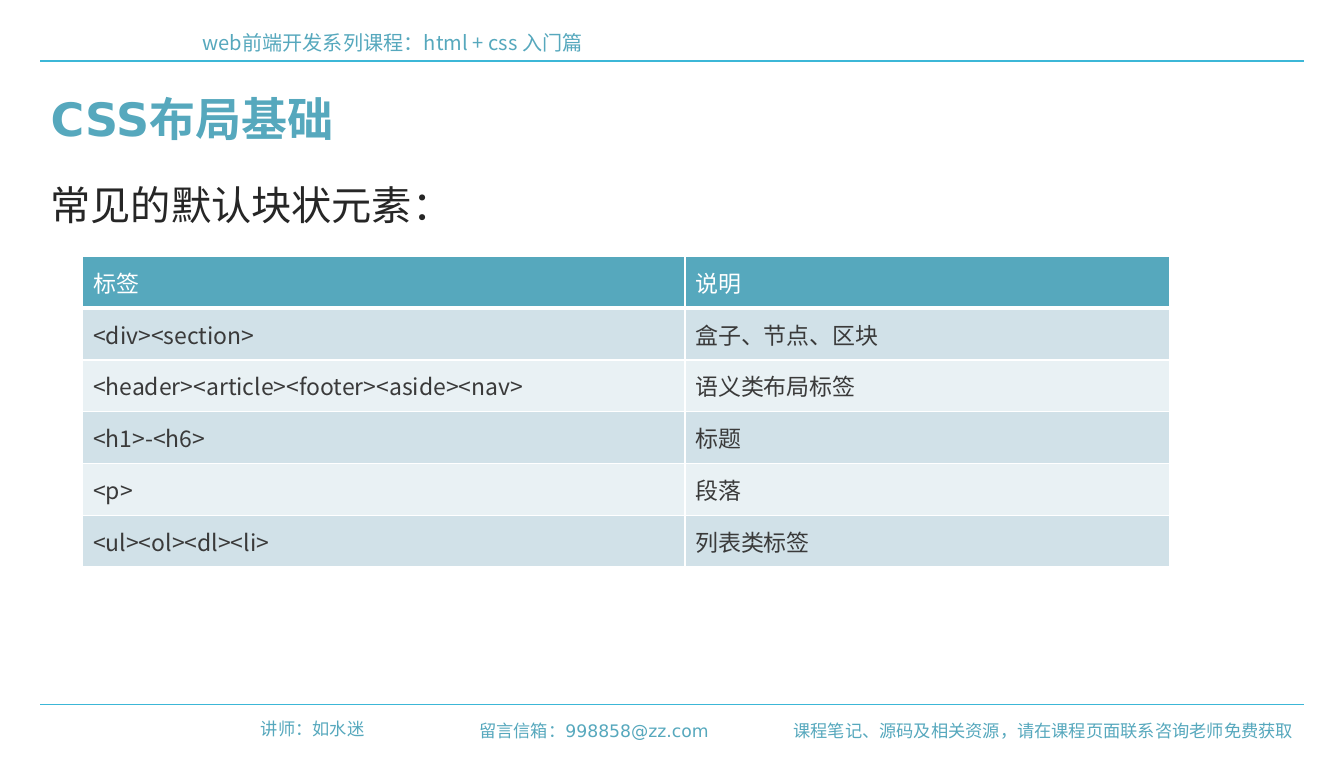
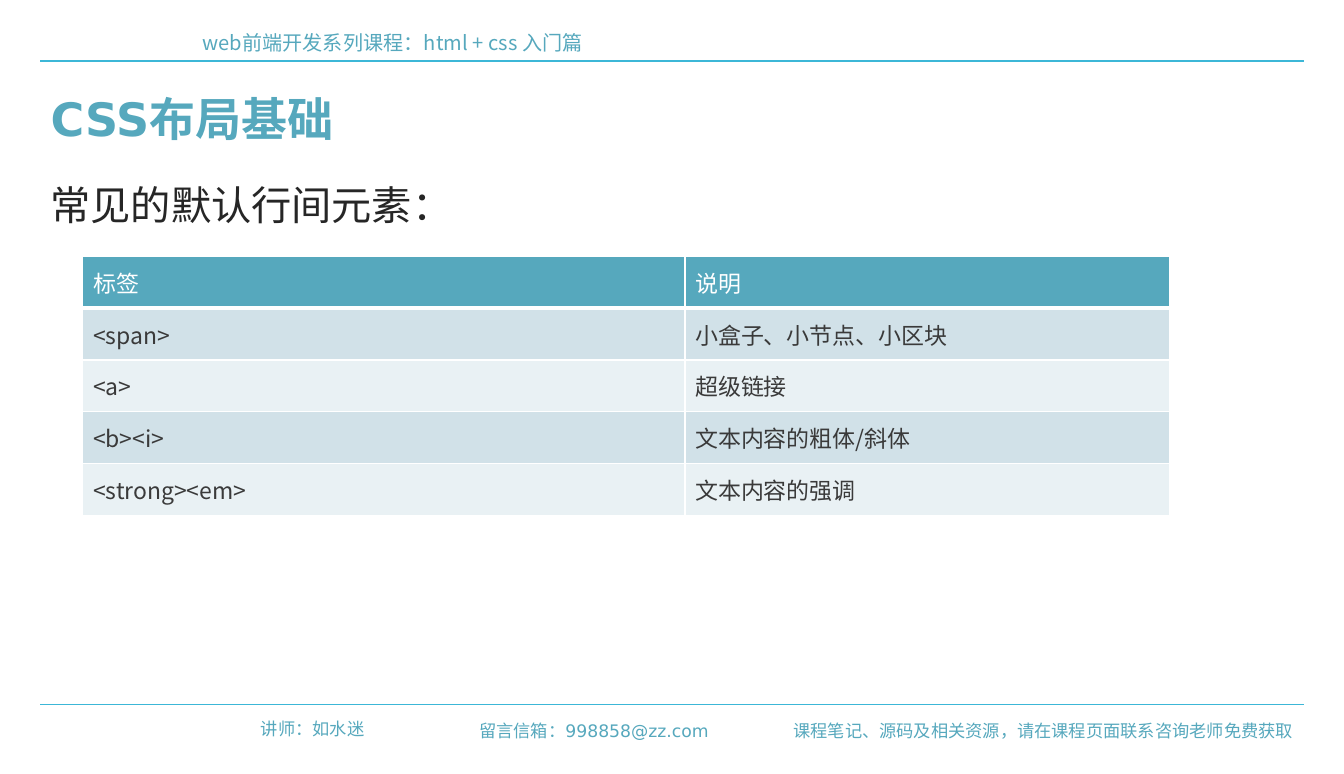
import pptx
import pptx.dml.color
import pptx.enum.shapes
import pptx.enum.text
import pptx.oxml
import pptx.oxml.ns
import pptx.util
import lxml.etree

Inches = pptx.util.Inches
Pt = pptx.util.Pt
Align = pptx.enum.text.PP_ALIGN

TEAL, RULE, INK, CELL_INK, WHITE = "56A8BD", "3CB7D7", "262626", "3A3A3A", "FFFFFF"
BANDS = ("D1E1E8", "E9F1F4")
CJK, LATIN = "Noto Sans CJK SC", "DejaVu Sans"
LEFT, RIGHT = 0.39, 12.6
COLUMN_WIDTHS = (5.82, 4.69)
ROW_HEIGHT = 0.5

FOOTERS = (
    ("讲师：如水迷", 2.24, 6.89, 1.38),
    ("课程笔记、源码及相关资源，请在课程页面联系咨询老师免费获取", 7.52, 6.91, 5.08),
    ("留言信箱：998858@zz.com", 4.29, 6.91, 2.66),
)

LESSONS = (
    ("常见的默认块状元素：", (
        ("标签", "说明"),
        ("<div><section>", "盒子、节点、区块"),
        ("<header><article><footer><aside><nav>", "语义类布局标签"),
        ("<h1>-<h6>", "标题"),
        ("<p>", "段落"),
        ("<ul><ol><dl><li>", "列表类标签"),
    )),
    ("常见的默认行间元素：", (
        ("标签", "说明"),
        ("<span>", "小盒子、小节点、小区块"),
        ("<a>", "超级链接"),
        ("<b><i>", "文本内容的粗体/斜体"),
        ("<strong><em>", "文本内容的强调"),
    )),
)


def rgb(value):
    return pptx.dml.color.RGBColor.from_string(value)


class CourseDeck:
    """Hold the course style and draw elements on the current slide."""

    def __init__(self):
        self.presentation = pptx.Presentation()
        self.presentation.slide_width = Inches(12.99)
        self.presentation.slide_height = Inches(7.48)
        self.slide = None

    def add_slide(self):
        self.slide = self.presentation.slides.add_slide(self.presentation.slide_layouts[6])
        for top in (0.59, 6.81):
            self.rule(top)
        self.text("web前端开发系列课程：html + css 入门篇", 1.86, 0.24, 10.51, 0.34, 14, CJK)
        for words, left, top, width in FOOTERS:
            self.text(words, left, top, width, 0.3, 12, LATIN, align=Align.RIGHT)

    def rule(self, top):
        line = self.slide.shapes.add_connector(
            pptx.enum.shapes.MSO_CONNECTOR.STRAIGHT,
            Inches(LEFT), Inches(top), Inches(RIGHT), Inches(top))
        line.line.color.rgb = rgb(RULE)
        line.line.width = Pt(0.75)
        properties = line._element.spPr
        lxml.etree.SubElement(properties, pptx.oxml.ns.qn("a:effectLst"))

    def run(self, paragraph, words, size, font, color, bold=False):
        run = paragraph.add_run()
        run.text = words
        run.font.size = Pt(size)
        run.font.bold = bold
        run.font.color.rgb = rgb(color)
        run.font.name = font
        east_asian = lxml.etree.SubElement(run.font._element, pptx.oxml.ns.qn("a:ea"))
        east_asian.set("typeface", CJK)

    def text(self, words, left, top, width, height, size, font,
             color=TEAL, bold=False, align=Align.LEFT):
        box = self.slide.shapes.add_textbox(
            Inches(left), Inches(top), Inches(width), Inches(height))
        frame = box.text_frame
        frame.word_wrap = True
        frame.auto_size = pptx.enum.text.MSO_AUTO_SIZE.SHAPE_TO_FIT_TEXT
        paragraph = frame.paragraphs[0]
        paragraph.alignment = align
        self.run(paragraph, words, size, font, color, bold)

    def title(self, words):
        self.text(words, LEFT, 0.83, 12.2, 0.64, 32, LATIN, bold=True)

    def subtitle(self, words):
        self.text(words, LEFT, 1.69, 6.65, 0.57, 28, CJK, INK)

    def borders(self, cell, widths):
        properties = cell._tc.get_or_add_tcPr()
        for index, (side, width) in enumerate(zip("LRTB", widths)):
            border = pptx.oxml.parse_xml(
                f'<a:ln{side} {pptx.oxml.ns.nsdecls("a")} w="{Pt(width)}"><a:solidFill>'
                f'<a:srgbClr val="{WHITE}"/></a:solidFill></a:ln{side}>')
            properties.insert(index, border)

    def table(self, rows):
        table = self.slide.shapes.add_table(
            len(rows), len(COLUMN_WIDTHS), Inches(0.8), Inches(2.48),
            Inches(sum(COLUMN_WIDTHS)), Inches(ROW_HEIGHT * len(rows))).table
        for column, width in zip(table.columns, COLUMN_WIDTHS):
            column.width = Inches(width)
        for row_index, row in enumerate(rows):
            table.rows[row_index].height = Inches(ROW_HEIGHT)
            header = row_index == 0
            fill = TEAL if header else BANDS[(row_index - 1) % 2]
            top = 3 if row_index == 1 else 1
            bottom = 3 if header else 1
            for column_index, words in enumerate(row):
                cell = table.cell(row_index, column_index)
                cell.vertical_anchor = pptx.enum.text.MSO_ANCHOR.MIDDLE
                cell.fill.solid()
                cell.fill.fore_color.rgb = rgb(fill)
                self.borders(cell, (1, 1, top, bottom))
                self.run(cell.text_frame.paragraphs[0], words, 16, CJK,
                         WHITE if header else CELL_INK)


def main():
    deck = CourseDeck()
    for subtitle, rows in LESSONS:
        deck.add_slide()
        deck.title("CSS布局基础")
        deck.subtitle(subtitle)
        deck.table(rows)
    deck.presentation.save("out.pptx")


if __name__ == "__main__":
    main()
